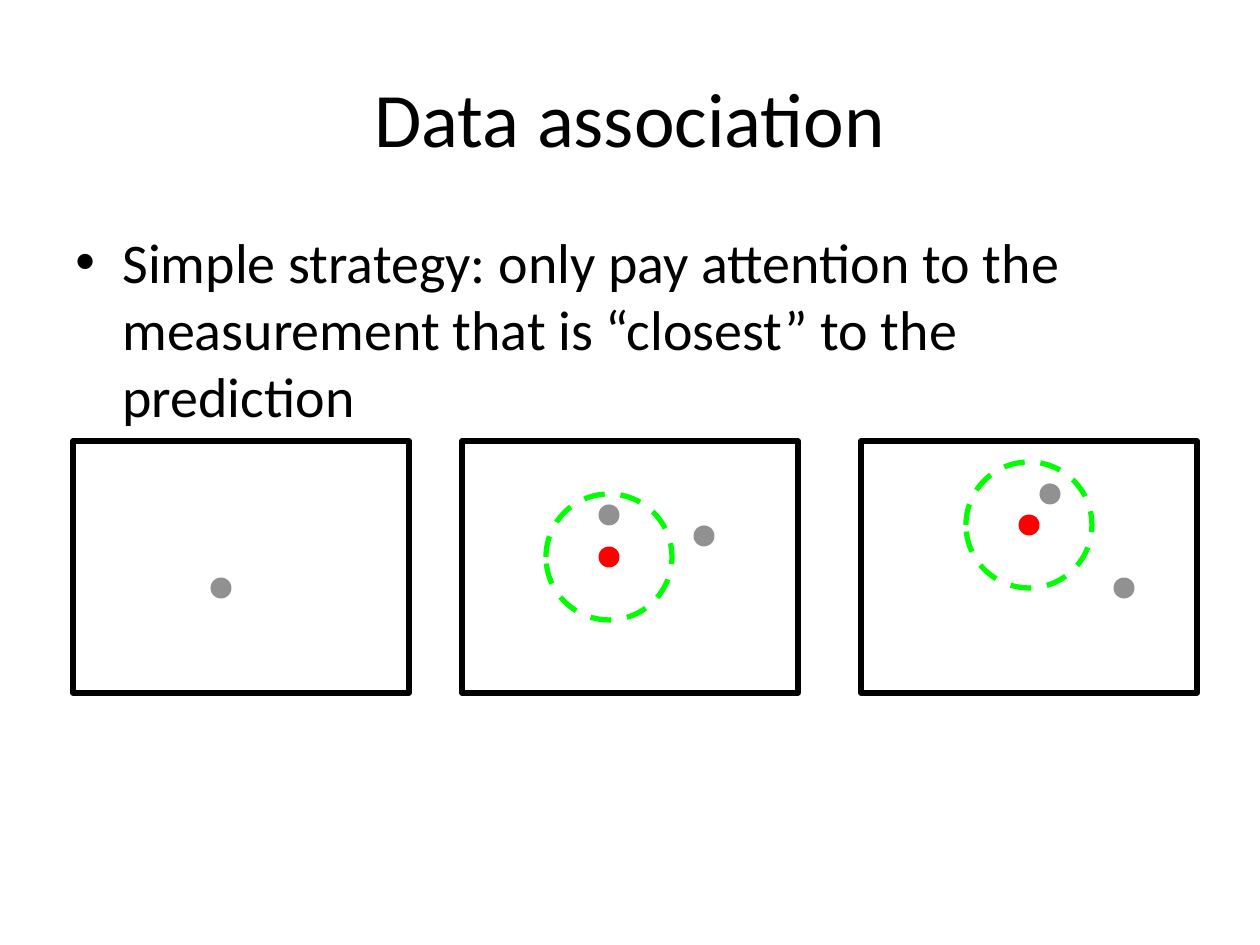
import pptx
import pptx.util
import pptx.dml.color
import pptx.enum.dml
import pptx.enum.shapes
import pptx.enum.text
import pptx.oxml
import pptx.oxml.ns
import lxml.etree

RGBColor = pptx.dml.color.RGBColor
BLACK = RGBColor(0x00, 0x00, 0x00)
WHITE = RGBColor(0xFF, 0xFF, 0xFF)
GREY = RGBColor(0x91, 0x91, 0x91)
RED = RGBColor(0xFF, 0x00, 0x00)
GREEN = RGBColor(0x00, 0xFF, 0x00)

TITLE = "Data association"
STRATEGY = (
    "Simple strategy: only pay attention to the measurement "
    "that is “closest” to the prediction"
)
FRAMES = [
    {"left": 73, "measurements": [(221, 588)], "prediction": None},
    {"left": 462, "measurements": [(704, 536), (609, 515)], "prediction": (609, 557)},
    {"left": 861, "measurements": [(1124, 588), (1050, 494)], "prediction": (1029, 525)},
]
FRAME_TOP, FRAME_WIDTH, FRAME_HEIGHT = 441, 336, 252
DOT, GATE = 21, 126
FONT = "Calibri"
PX_PER_INCH = 126


def px(value):
    return pptx.util.Emu(round(value * 914400 / PX_PER_INCH))


def add_text(slide, box, text, size, anchor, align):
    frame = slide.shapes.add_textbox(*map(px, box)).text_frame
    frame.word_wrap = True
    frame.vertical_anchor = anchor
    paragraph = frame.paragraphs[0]
    paragraph.alignment = align
    run = paragraph.add_run()
    run.text = text
    run.font.name = FONT
    run.font.size = pptx.util.Pt(size)
    run.font.color.rgb = BLACK
    return paragraph


def add_bullet(paragraph, indent):
    properties = paragraph._p.get_or_add_pPr()
    properties.set("marL", str(px(indent)))
    properties.set("indent", str(-px(indent)))
    for tag, name, value in (("a:buFont", "typeface", "Arial"), ("a:buChar", "char", "•")):
        lxml.etree.SubElement(properties, pptx.oxml.ns.qn(tag)).set(name, value)


def add_mark(slide, kind, box, fill=None, line=None, dash=None):
    mark = slide.shapes.add_shape(kind, *map(px, box))
    mark.shadow.inherit = False
    if fill is None:
        mark.fill.background()
    else:
        mark.fill.solid()
        mark.fill.fore_color.rgb = fill
    if line is None:
        mark.line.fill.background()
    else:
        mark.line.color.rgb = line
        mark.line.width = pptx.util.Pt(3)
        mark.line.dash_style = dash


def add_circle(slide, centre, diameter, **style):
    x, y = centre
    box = (x - diameter / 2, y - diameter / 2, diameter, diameter)
    add_mark(slide, pptx.enum.shapes.MSO_SHAPE.OVAL, box, **style)


def add_frame(slide, left, measurements, prediction):
    box = (left, FRAME_TOP, FRAME_WIDTH, FRAME_HEIGHT)
    add_mark(slide, pptx.enum.shapes.MSO_SHAPE.RECTANGLE, box, fill=WHITE, line=BLACK)
    for centre in measurements:
        add_circle(slide, centre, DOT, fill=GREY)
    if prediction:
        add_circle(slide, prediction, DOT, fill=RED)
        add_circle(slide, prediction, GATE, line=GREEN,
                   dash=pptx.enum.dml.MSO_LINE.DASH)


def main():
    deck = pptx.Presentation()
    deck.slide_width, deck.slide_height = px(1260), px(945)
    slide = deck.slides.add_slide(deck.slide_layouts[6])
    anchors, aligns = pptx.enum.text.MSO_ANCHOR, pptx.enum.text.PP_ALIGN
    add_text(slide, (63, 38, 1134, 157), TITLE, 44, anchors.MIDDLE, aligns.CENTER)
    strategy = add_text(slide, (63, 221, 1134, 624), STRATEGY, 32, anchors.TOP, aligns.LEFT)
    strategy.space_before = pptx.util.Pt(6.4)
    add_bullet(strategy, 47)
    for frame in FRAMES:
        add_frame(slide, **frame)
    deck.save("out.pptx")


if __name__ == "__main__":
    main()
